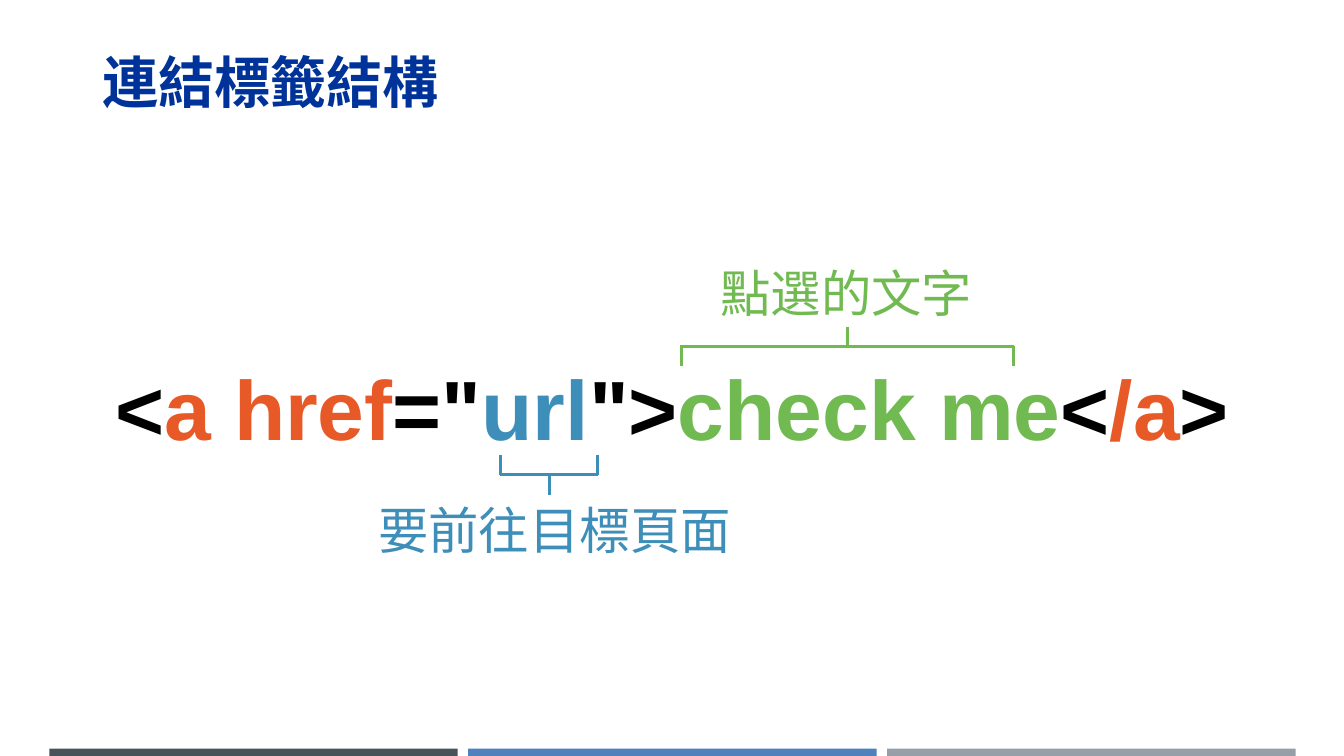
from lxml import etree
from pptx import Presentation
from pptx import util as u
from pptx.dml.color import RGBColor
from pptx.enum import shapes, text
from pptx.oxml import ns

PX = 9525
SANS, CJK = "Arial", "Noto Sans CJK SC"
BLACK, RED, BLUE, GREEN, NAVY = "000000", "E75926", "3D8EB9", "71BA51", "003399"
CODE = [("<", BLACK), ("a href", RED), ("=\"", BLACK), ("url", BLUE), ("\">", BLACK),
        ("check me", GREEN), ("<", BLACK), ("/a", RED), (">", BLACK)]


def px(*vals):
    return [u.Emu(round(val * PX)) for val in vals]


def color(code):
    return RGBColor.from_string(code)


def apply(item, form):
    for key, val in form.items():
        setattr(item, key, val)


def write(slide, box, parts, font, align=text.PP_ALIGN.CENTER):
    frame = slide.shapes.add_textbox(*px(*box)).text_frame
    apply(frame, {"word_wrap": True, "vertical_anchor": text.MSO_ANCHOR.MIDDLE})
    para = frame.paragraphs[0]
    para.alignment = align
    for words, tint in parts:
        run = para.add_run()
        run.text = words
        apply(run.font, font)
        run.font.color.rgb = color(tint)
        east = etree.SubElement(run.font._element, ns.qn("a:ea"))
        east.set("typeface", font["name"])


def bracket(slide, box, tint, up):
    left, top, width, height = box
    right, mid, base = left + width, left + width / 2, top + height / 2
    stem, leg = (top, top + height) if up else (top + height, top)
    group = slide.shapes.add_group_shape()
    for ends in [(left, base, left, leg), (left - 1, base, right + 1, base),
                 (right, base, right, leg), (mid, stem, mid, base)]:
        line = group.shapes.add_connector(shapes.MSO_CONNECTOR.STRAIGHT, *px(*ends))
        line.line.color.rgb = color(tint)
        line.line.width = u.Pt(2.25)
        etree.SubElement(line._element.spPr, ns.qn("a:effectLst"))


def footer(slide, box):
    left, top, width, height = box
    gap = 10
    wide = (width - 2 * gap) / 3
    for col, tint in enumerate(["465359", "4F81BD", "969FA7"]):
        place = px(left + col * (wide + gap), top, wide, height)
        bar = slide.shapes.add_shape(shapes.MSO_SHAPE.RECTANGLE, *place)
        bar.shadow.inherit = False
        bar.fill.solid()
        bar.fill.fore_color.rgb = color(tint)
        bar.line.fill.background()


def diagram(slide, box):
    left, top, width, height = box
    label = {"name": CJK, "size": u.Pt(36)}
    code = {"name": SANS, "size": u.Pt(60), "bold": True}
    write(slide, (left + 664, top, 284, 68), [("點選的文字", GREEN)], label)
    write(slide, (left, top + 90, width, 107), CODE, code)
    write(slide, (left + 346, top + height - 68, 364, 68), [("要前往目標頁面", BLUE)], label)
    bracket(slide, (left + 649, top + 67, 316, 38), GREEN, True)
    bracket(slide, (left + 477, top + 189, 92, 38), BLUE, False)


def main():
    deck = Presentation()
    deck.slide_width, deck.slide_height = px(1280, 720)
    slide = deck.slides.add_slide(deck.slide_layouts[6])
    footer(slide, (47, 713, 1187, 10))
    title = {"name": CJK, "size": u.Pt(40), "bold": True}
    write(slide, (88, 22, 1141, 111), [("連結標籤結構", NAVY)], title, text.PP_ALIGN.LEFT)
    diagram(slide, (0, 244, 1280, 294))
    deck.save("out.pptx")


if __name__ == "__main__":
    main()
